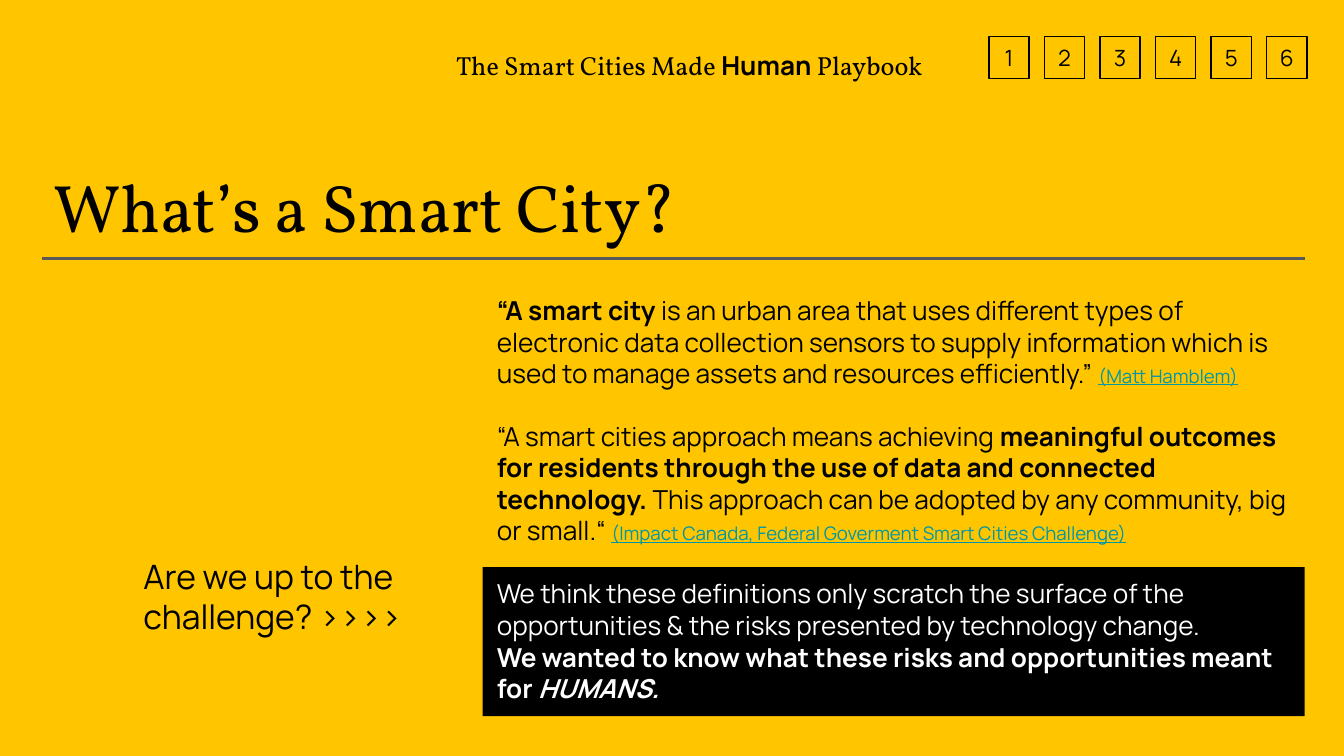
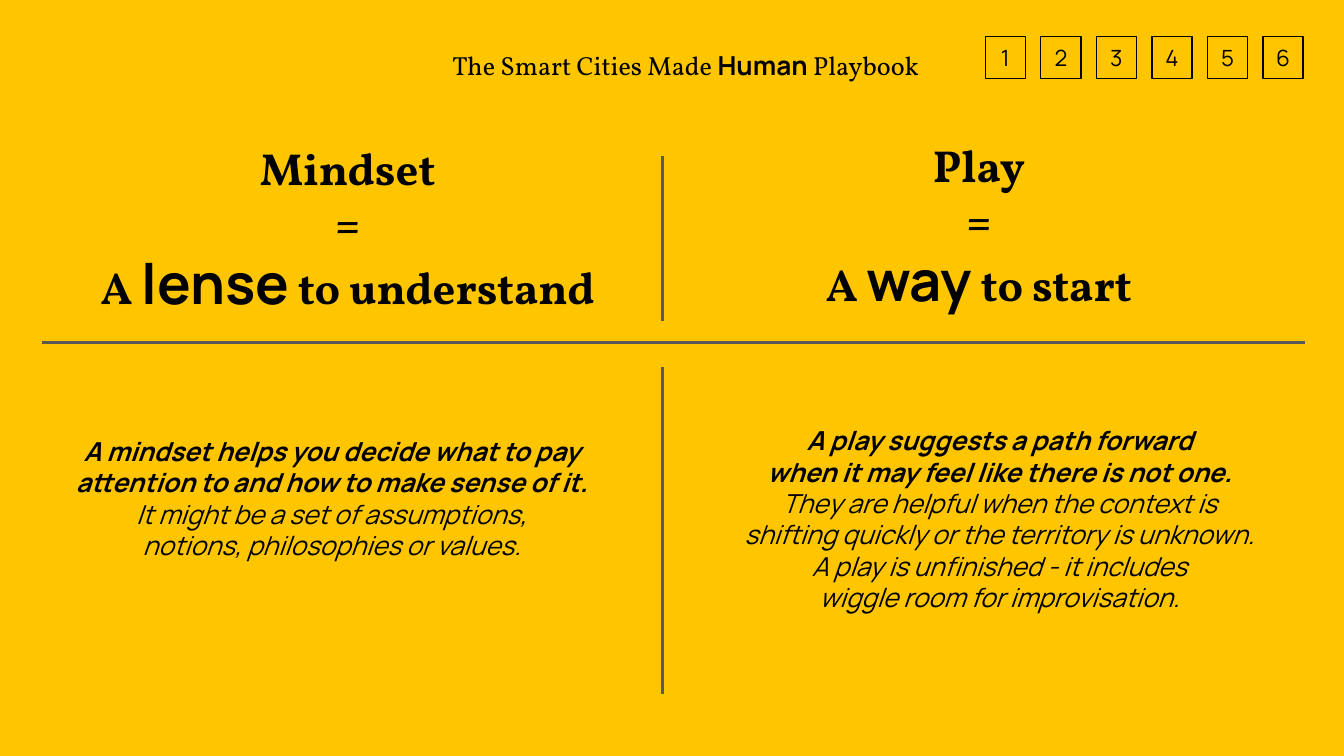
from dataclasses import dataclass
from typing import NamedTuple

from lxml.etree import SubElement
from pptx import Presentation
from pptx.dml.color import RGBColor
from pptx.enum.shapes import MSO_CONNECTOR, MSO_SHAPE
from pptx.enum.text import MSO_ANCHOR, PP_ALIGN
from pptx.oxml.ns import qn
from pptx.shapes.autoshape import Shape
from pptx.slide import Slide
from pptx.util import Cm, Pt

YELLOW, BLACK, WHITE, GREY, TEAL = "FFC600", "000000", "FFFFFF", "595959", "0097A7"
SERIF, SANS = "Vollkorn", "Manrope"
LEFT, RIGHT = 0.79, 24.66
MIDDLE = 12.52
INSET = 0.25
HEADER_TOP, HEADER_HEIGHT = 0.69, 0.79
NUMBER_COUNT, NUMBER_WIDTH, NUMBER_STEP = 6, 0.76, 1.05
NUMBERS_OFFSET = 11.02


class Area(NamedTuple):
    """Left, top, width and height in centimetres."""

    left: float
    top: float
    width: float
    height: float


@dataclass(frozen=True)
class Span:
    """A stretch of text in one style."""

    text: str
    size: float = 14
    font: str = SANS
    color: str = BLACK
    bold: bool = False
    italic: bool = False
    underline: bool = False


@dataclass(frozen=True)
class Para:
    """Spans that form one paragraph, with the space above it in points."""

    spans: list[Span]
    space_before: float = 0


@dataclass(frozen=True)
class Concept:
    """One column that defines a term and explains it."""

    term: str
    emphasis: str
    ending: str
    heading_area: Area
    strong_lines: list[str]
    plain_lines: list[str]
    body_area: Area


def rgb(color: str) -> RGBColor:
    """Turn a hex string into a colour."""
    return RGBColor.from_string(color)


def fill_text(
    box: Shape,
    paras: list[Para],
    align: PP_ALIGN = PP_ALIGN.LEFT,
    anchor: MSO_ANCHOR = MSO_ANCHOR.TOP,
) -> None:
    """Write and style the paragraphs of a box."""
    frame = box.text_frame
    frame.word_wrap = True
    frame.vertical_anchor = anchor
    frame.margin_left = frame.margin_right = Cm(INSET)
    frame.margin_top = frame.margin_bottom = Cm(INSET)
    frame.text = "\n".join(para.spans[0].text for para in paras)
    for paragraph, para in zip(frame.paragraphs, paras):
        paragraph.alignment = align
        paragraph.space_before = Pt(para.space_before)
        for span in para.spans[1:]:
            paragraph.add_run().text = span.text
        for run, span in zip(paragraph.runs, para.spans):
            run.font.size = Pt(span.size)
            run.font.name = span.font
            run.font.color.rgb = rgb(span.color)
            run.font.bold = span.bold
            run.font.italic = span.italic
            run.font.underline = span.underline


def add_text(
    slide: Slide,
    area: Area,
    paras: list[Para],
    align: PP_ALIGN = PP_ALIGN.LEFT,
    anchor: MSO_ANCHOR = MSO_ANCHOR.TOP,
) -> None:
    """Place a text box."""
    box = slide.shapes.add_textbox(*map(Cm, area))
    fill_text(box, paras, align, anchor)


def add_rectangle(slide: Slide, area: Area) -> Shape:
    """Place a rectangle without shadow."""
    box = slide.shapes.add_shape(MSO_SHAPE.RECTANGLE, *map(Cm, area))
    box.shadow.inherit = False
    return box


def add_rule(slide: Slide, x1: float, y1: float, x2: float, y2: float) -> None:
    """Draw a grey dividing line."""
    rule = slide.shapes.add_connector(
        MSO_CONNECTOR.STRAIGHT, Cm(x1), Cm(y1), Cm(x2), Cm(y2)
    )
    rule.line.color.rgb = rgb(GREY)
    rule.line.width = Pt(1.5)
    SubElement(rule._element.spPr, qn("a:effectLst"))


def add_header(slide: Slide, left: float) -> None:
    """Place the playbook name and the numbered squares."""
    for index in range(NUMBER_COUNT):
        number_left = left + NUMBERS_OFFSET + index * NUMBER_STEP
        box = add_rectangle(
            slide, Area(number_left, HEADER_TOP, NUMBER_WIDTH, HEADER_HEIGHT)
        )
        box.fill.background()
        box.line.color.rgb = rgb(BLACK)
        box.line.width = Pt(0.75)
        number = Para([Span(str(index + 1), 12)])
        fill_text(box, [number], PP_ALIGN.CENTER, MSO_ANCHOR.MIDDLE)
    name = Para([
        Span("The Smart Cities Made ", font=SERIF),
        Span("Human", bold=True),
        Span(" Playbook", font=SERIF),
    ])
    area = Area(left, HEADER_TOP, 10.72, HEADER_HEIGHT)
    add_text(slide, area, [name], PP_ALIGN.CENTER)


def add_concept(slide: Slide, concept: Concept) -> None:
    """Place the heading and the explanation of a concept."""

    def heading(text: str) -> Span:
        """Style a piece of the heading."""
        return Span(text, 24, SERIF, bold=True)

    definition = [
        heading("A "),
        Span(concept.emphasis, 30, bold=True),
        heading(concept.ending),
    ]
    heading_paras = [Para([heading(concept.term)]), Para([heading("=")]), Para(definition)]
    add_text(slide, concept.heading_area, heading_paras, PP_ALIGN.CENTER)
    body = [Para([Span(line, bold=True, italic=True)]) for line in concept.strong_lines]
    body += [Para([Span(line, italic=True)]) for line in concept.plain_lines]
    add_text(slide, concept.body_area, body, PP_ALIGN.CENTER, MSO_ANCHOR.MIDDLE)


DEFINITIONS = [
    Para([
        Span("“A smart city", bold=True),
        Span(
            " is an urban area that uses different types of electronic data "
            "collection sensors to supply information which is used to manage "
            "assets and resources efficiently.” "
        ),
        Span("(Matt Hamblem)", 10, color=TEAL, underline=True),
    ]),
    Para([
        Span("“A smart cities approach means achieving "),
        Span(
            "meaningful outcomes for residents through the use of data and "
            "connected technology. ",
            bold=True,
        ),
        Span("This approach can be adopted by any community, big or small.“ "),
        Span(
            "(Impact Canada, Federal Goverment Smart Cities Challenge)",
            10,
            color=TEAL,
            underline=True,
        ),
    ], 17),
    Para([
        Span(
            "We think these definitions only scratch the surface of the "
            "opportunities & the risks presented by technology change.",
            color=WHITE,
        ),
    ], 17),
    Para([
        Span(
            "We wanted to know what these risks and opportunities meant for ",
            color=WHITE,
            bold=True,
        ),
        Span("HUMANS.", color=WHITE, bold=True, italic=True),
    ], 0.5),
]

CONCEPTS = [
    Concept(
        "Mindset",
        "lense",
        " to understand",
        Area(LEFT, 2.41, 11.56, 3.43),
        ["A mindset helps you decide what to pay attention to and how to make sense of it."],
        ["It might be a set of assumptions,", "notions, philosophies or values."],
        Area(LEFT, 6.48, 10.97, 5.87),
    ),
    Concept(
        "Play",
        "way",
        " to start",
        Area(12.34, 2.36, 12.32, 3.51),
        ["A play suggests a path forward", "when it may feel like there is not one."],
        [
            "They are helpful when the context is",
            "shifting quickly or the territory is unknown.",
            "A play is unfinished - it includes",
            "wiggle room for improvisation.",
        ],
        Area(13.23, 6.48, 11.33, 6.65),
    ),
]


def build_definition_slide(slide: Slide) -> None:
    """Build the slide that asks what a smart city is."""
    panel = add_rectangle(slide, Area(9.12, 10.72, 15.54, 2.82))
    panel.fill.solid()
    panel.fill.fore_color.rgb = rgb(BLACK)
    panel.line.fill.background()
    add_header(slide, 7.67)
    title = Para([Span("What’s a Smart City?", 36, SERIF)])
    add_text(slide, Area(0.76, 2.87, 14.94, 2.03), [title])
    add_rule(slide, LEFT, 4.88, RIGHT, 4.88)
    add_text(slide, Area(9.14, 5.59, 15.5, 7.7), DEFINITIONS, anchor=MSO_ANCHOR.MIDDLE)
    question = Para([Span("Are we up to the challenge? >>>>", 18)])
    add_text(slide, Area(2.46, 10.26, 6.35, 2.03), [question])


def build_concept_slide(slide: Slide) -> None:
    """Build the slide that compares mindset and play."""
    add_header(slide, 7.6)
    add_rule(slide, LEFT, 6.48, RIGHT, 6.48)
    add_rule(slide, MIDDLE, 2.95, MIDDLE, 6.07)
    add_rule(slide, MIDDLE, 6.93, MIDDLE, 13.11)
    for concept in CONCEPTS:
        add_concept(slide, concept)


def main() -> None:
    """Build the deck and save it."""
    deck = Presentation()
    deck.slide_width, deck.slide_height = Cm(25.4), Cm(14.29)
    background = deck.slide_master.background.fill
    background.solid()
    background.fore_color.rgb = rgb(YELLOW)
    for build in (build_definition_slide, build_concept_slide):
        build(deck.slides.add_slide(deck.slide_layouts[6]))
    deck.save("out.pptx")


if __name__ == "__main__":
    main()
